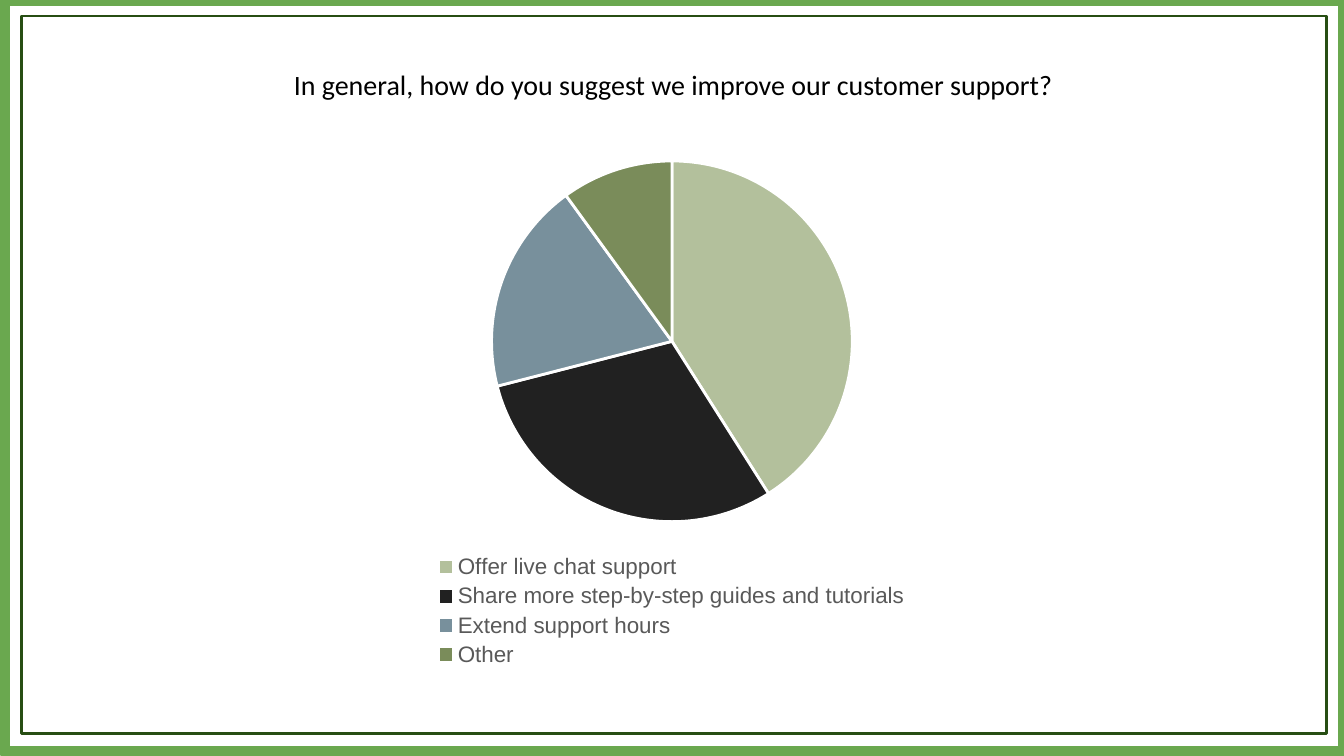
from pptx import Presentation
from pptx.chart.data import CategoryChartData
from pptx.dml.color import RGBColor
from pptx.enum.chart import XL_CHART_TYPE, XL_LEGEND_POSITION
from pptx.enum.shapes import MSO_SHAPE
from pptx.enum.text import PP_ALIGN
from pptx.util import Inches, Pt

PIE = XL_CHART_TYPE.PIE
BOTTOM = XL_LEGEND_POSITION.BOTTOM
RECT = MSO_SHAPE.RECTANGLE
CENTER = PP_ALIGN.CENTER

GREEN = RGBColor(0x6A, 0xA8, 0x4F)
FOREST = RGBColor(0x27, 0x4E, 0x13)
SAGE = RGBColor(0xB3, 0xC0, 0x9C)
COAL = RGBColor(0x21, 0x21, 0x21)
SLATE = RGBColor(0x78, 0x90, 0x9C)
OLIVE = RGBColor(0x7A, 0x8C, 0x5A)
GRAY = RGBColor(0x59, 0x59, 0x59)
BLACK = RGBColor(0, 0, 0)
WHITE = RGBColor(0xFF, 0xFF, 0xFF)

# Content
WIDE = 10
HIGH = WIDE * 9 / 16
TITLE = "In general, how do you suggest we improve our customer support?"
ANSWERS = [
    ("Offer live chat support", 41, SAGE),
    ("Share more step-by-step guides and tutorials", 30, COAL),
    ("Extend support hours", 19, SLATE),
    ("Other", 10, OLIVE),
]
FRAMES = [  # left, top, width, height, colour, line width
    (0.03, 0, 9.97, 5.59, GREEN, 6),
    (0.16, 0.12, 9.71, 5.34, FOREST, 1.5),
]


def place(*box):
    return [Inches(side) for side in box]


def style(font, size, color, name):
    font.size = Pt(size)
    font.color.rgb = color
    font.name = name


deck = Presentation()
deck.slide_width, deck.slide_height = place(WIDE, HIGH)
slide = deck.slides.add_slide(deck.slide_layouts[6])

# Double frame
group = slide.shapes.add_group_shape()
for *box, color, weight in FRAMES:
    frame = group.shapes.add_shape(RECT, *place(*box))
    frame.shadow.inherit = False
    frame.fill.background()
    frame.line.color.rgb = color
    frame.line.width = Pt(weight)

# Question
text = slide.shapes.add_textbox(*place(1.74, 0.4, 6.54, 0.45)).text_frame
text.word_wrap = True
text.margin_left = text.margin_right = Inches(0.1)
text.margin_top = text.margin_bottom = Inches(0.1)
para = text.paragraphs[0]
para.text = TITLE
para.alignment = CENTER
style(para.font, 15, BLACK, "Calibri")

# Pie of answers
data = CategoryChartData()
data.categories = [label for label, _, _ in ANSWERS]
data.add_series("Series 1", [share for _, share, _ in ANSWERS])
chart = slide.shapes.add_chart(PIE, *place(1.96, 1.06, 6.08, 3.94), data).chart
chart.has_title = False
style(chart.font, 10, BLACK, "Arial")
plot = chart.plots[0]
plot.vary_by_categories = True
for index, (_, _, color) in enumerate(ANSWERS):
    slice_ = plot.series[0].points[index].format
    slice_.fill.solid()
    slice_.fill.fore_color.rgb = color
    slice_.line.color.rgb = WHITE
    slice_.line.width = Pt(1.5)

# Legend
chart.has_legend = True
chart.legend.position = BOTTOM
chart.legend.include_in_layout = False
style(chart.legend.font, 12, GRAY, "Arial")

deck.save("out.pptx")
